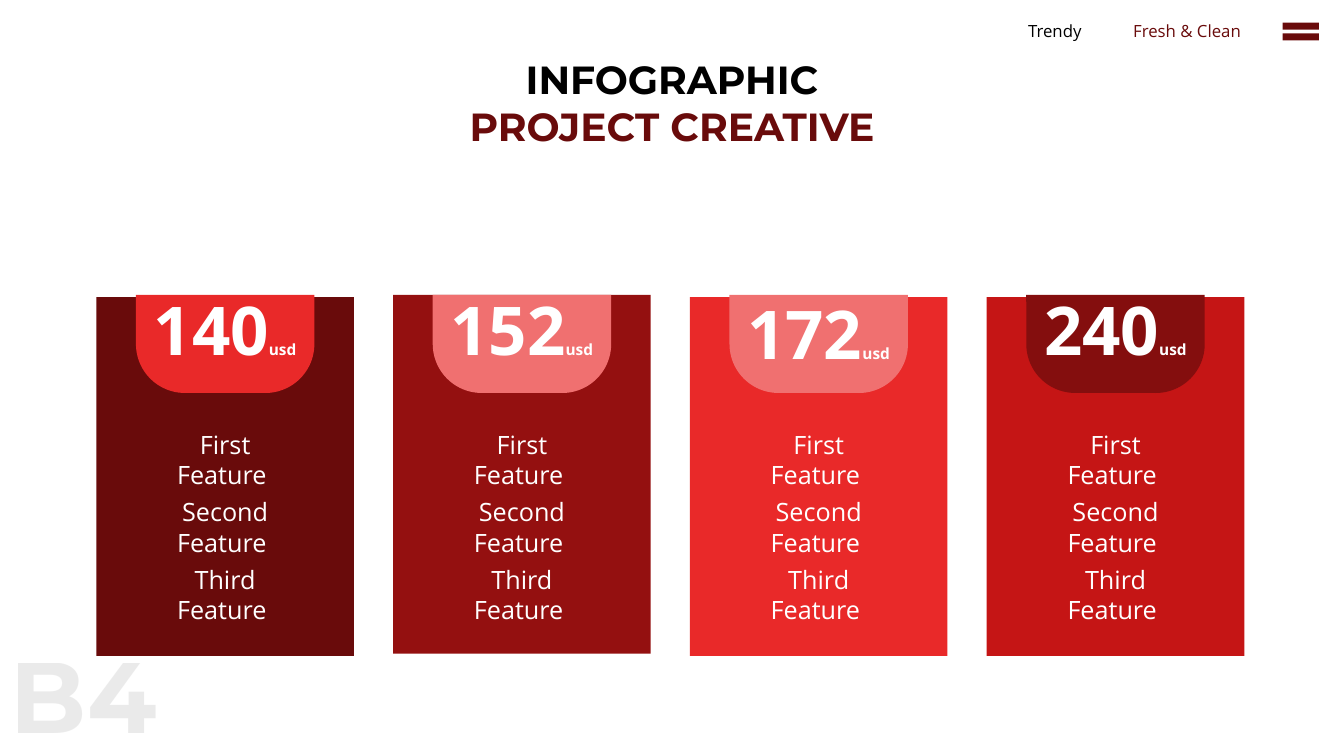
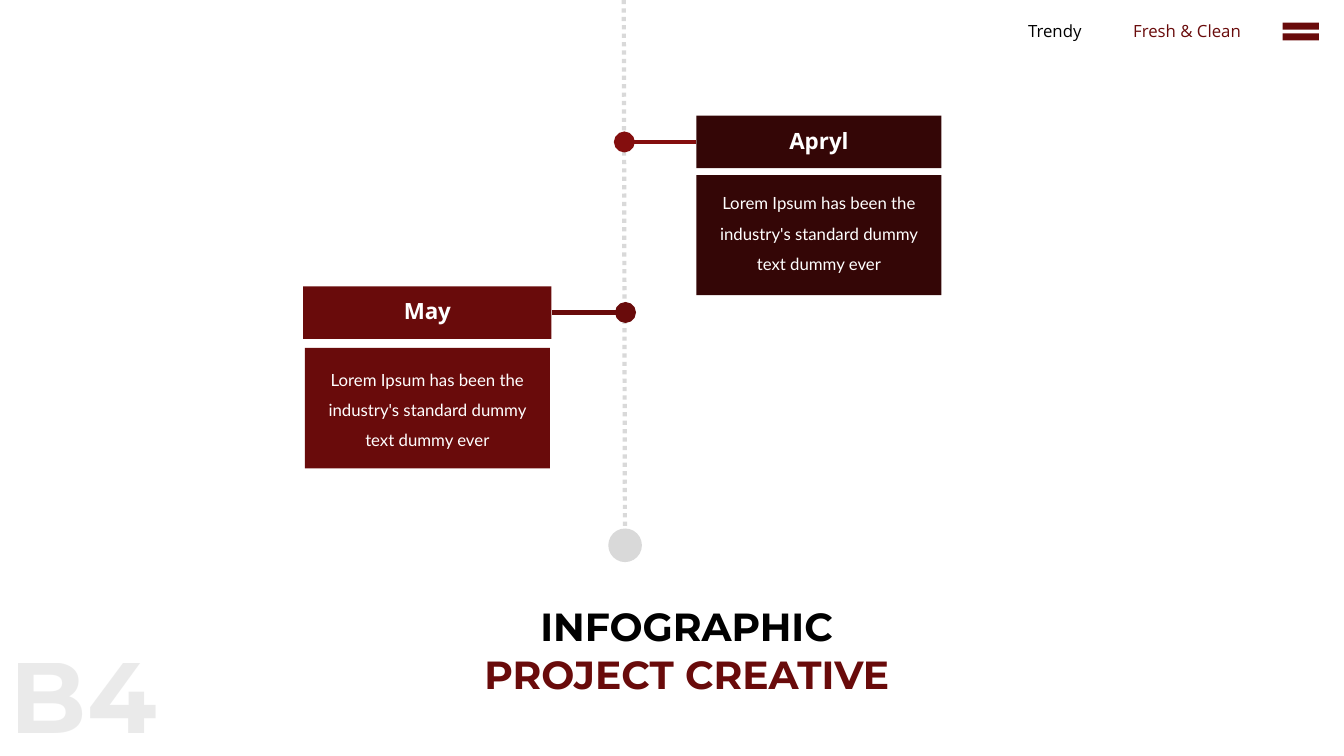
import pptx
import pptx.util
import pptx.dml.color
import pptx.enum.dml
import pptx.enum.shapes
import pptx.enum.text
import lxml.etree
from pptx.oxml.ns import qn

Pt = pptx.util.Pt
SHAPE = pptx.enum.shapes.MSO_SHAPE
ALIGN = pptx.enum.text.PP_ALIGN
ANCHOR = pptx.enum.text.MSO_ANCHOR

COLORS = {
    "black": "000000",
    "white": "FFFFFF",
    "gray": "D9D9D9",
    "night": "340606",
    "maroon": "690B0B",
    "wine": "840E0E",
    "crimson": "941010",
    "scarlet": "C51515",
    "red": "E92929",
    "pink": "F07070",
}
HEADING, BODY, COPY = "Montserrat", "Open Sans", "Lato"
LOREM = "Lorem Ipsum has been the industry's standard dummy text dummy ever"


def rgb(name):
    return pptx.dml.color.RGBColor.from_string(COLORS[name])


def add_box(s, kind, box, color):
    sp = s.shapes.add_shape(kind, *map(Pt, box))
    sp.shadow.inherit = False
    sp.fill.solid()
    sp.fill.fore_color.rgb = rgb(color)
    sp.line.fill.background()
    return sp


def add_line(s, start, end, color):
    line = s.shapes.add_connector(
        pptx.enum.shapes.MSO_CONNECTOR.STRAIGHT, *map(Pt, start + end))
    line.line.color.rgb = rgb(color)
    line.line.width = Pt(3)
    lxml.etree.SubElement(line.element.spPr, qn("a:effectLst"))
    return line


def write(tf, runs, font, bold=False, align=ALIGN.CENTER,
          anchor=ANCHOR.TOP, wrap=True):
    tf.word_wrap = wrap
    tf.vertical_anchor = anchor
    p = tf.paragraphs[0]
    p.alignment = align
    for text, size, color in runs:
        r = p.add_run()
        r.text = text
        r.font.size = Pt(size)
        r.font.name = font
        r.font.bold = bold
        r.font.color.rgb = rgb(color)
    return p


def add_text(s, box, runs, font, **style):
    tf = s.shapes.add_textbox(*map(Pt, box)).text_frame
    write(tf, runs, font, **style)
    return tf


def add_title(s, x, y):
    runs = [("INFOGRAPHIC ", 28, "black"), ("PROJECT CREATIVE", 28, "maroon")]
    add_text(s, (x, y, 322, 75), runs, HEADING, bold=True)


def add_frame(s):
    for text, x, w, color in (("Trendy", 726.5, 54, "black"),
                              ("Fresh & Clean", 801.4, 93, "maroon")):
        add_text(s, (x, 11.6, w, 21.6), [(text, 12, color)], BODY, wrap=False)
    add_box(s, SHAPE.MATH_EQUAL, (911.6, 11.6, 35.2, 21.8), "maroon")
    tf = add_text(s, (0, 448.6, 120, 94.5), [("B4", 72, "gray")], HEADING,
                  bold=True, align=ALIGN.LEFT, wrap=False)
    color = next(tf.paragraphs[0].runs[0].font.fill._xPr.iter(qn("a:srgbClr")))
    lxml.etree.SubElement(color, qn("a:alpha"), val="52000")


def add_price_card(s, box, price, card_color, badge_color, lift, drop):
    x, y, w, h = box
    add_box(s, SHAPE.RECTANGLE, (x, y - lift, w, h), card_color)
    badge_w = 127.5
    badge_x = x + (w - badge_w) / 2
    badge = add_box(s, SHAPE.ROUND_2_SAME_RECTANGLE,
                    (badge_x, y - 1.5, badge_w, 70), badge_color)
    badge.rotation = 180
    badge.adjustments[0] = 0.5
    badge.adjustments[1] = 0
    tf = add_text(s, (badge_x, y - 6.4 + drop, badge_w, 54),
                  [(price, 48, "white"), ("usd", 11, "white")], BODY, bold=True)
    tf.margin_top = tf.margin_bottom = 0
    features = (("First", 107), ("Second", 137.5), ("Third", 117))
    for i, (rank, text_w) in enumerate(features):
        add_text(s, (x + (w - text_w) / 2, y + 90.8 + i * 48.2, text_w, 51),
                 [(f"{rank} Feature ", 18, "white")], BODY)


def add_event(s, box, month, color, banner_extra, gap, pad):
    x, y, w, h = box
    banner_h = 37.5
    banner = add_box(s, SHAPE.RECTANGLE,
                     (x - banner_extra, y, w + 2 * banner_extra, banner_h), color)
    banner.text_frame.margin_bottom = Pt(6)
    write(banner.text_frame, [(month, 16, "white")], BODY, bold=True,
          anchor=ANCHOR.MIDDLE)
    body = add_box(s, SHAPE.RECTANGLE,
                   (x, y + banner_h + gap, w, h - banner_h - gap), color)
    body.text_frame.margin_top = Pt(pad)
    p = write(body.text_frame, [(LOREM, 12, "white")], COPY)
    p.line_spacing = 1.5
    p.space_before = Pt(12.7)


def add_branch(s, start, end, color):
    line = add_line(s, start, end, color)
    lxml.etree.SubElement(line.line._get_or_add_ln(), qn("a:tailEnd"),
                          type="oval", w="lg", len="lg")


def pricing_slide(s):
    cards = (("140", "maroon", "red", 0, 0),
             ("152", "crimson", "pink", 1.6, 0),
             ("172", "red", "pink", 0, 2.9),
             ("240", "scarlet", "wine", 0, 0))
    for i, card in enumerate(cards):
        add_price_card(s, (68.8 + i * 212, 212.2, 184, 256.3), *card)
    add_title(s, 319, 36)
    add_frame(s)


def timeline_slide(s):
    axis = add_line(s, (445.6, 0), (446.4, 389.5), "gray")
    axis.line.dash_style = pptx.enum.dml.MSO_LINE.ROUND_DOT
    add_branch(s, (497.5, 101.4), (446, 101.4), "wine")
    add_branch(s, (394.5, 223.2), (446.8, 223.2), "maroon")
    add_event(s, (497.5, 82.6, 175, 128.3), "Apryl", "night", 0, 5, 5.6)
    add_event(s, (217.8, 204.6, 175, 130), "May", "maroon", 1.2, 6.5, 8)
    add_box(s, SHAPE.OVAL, (434.5, 377.5, 24, 24), "gray")
    add_title(s, 329.5, 427)
    add_frame(s)


def main():
    prs = pptx.Presentation()
    prs.slide_width, prs.slide_height = Pt(960), Pt(540)
    for build in (pricing_slide, timeline_slide):
        build(prs.slides.add_slide(prs.slide_layouts[6]))
    prs.save("out.pptx")


if __name__ == "__main__":
    main()
